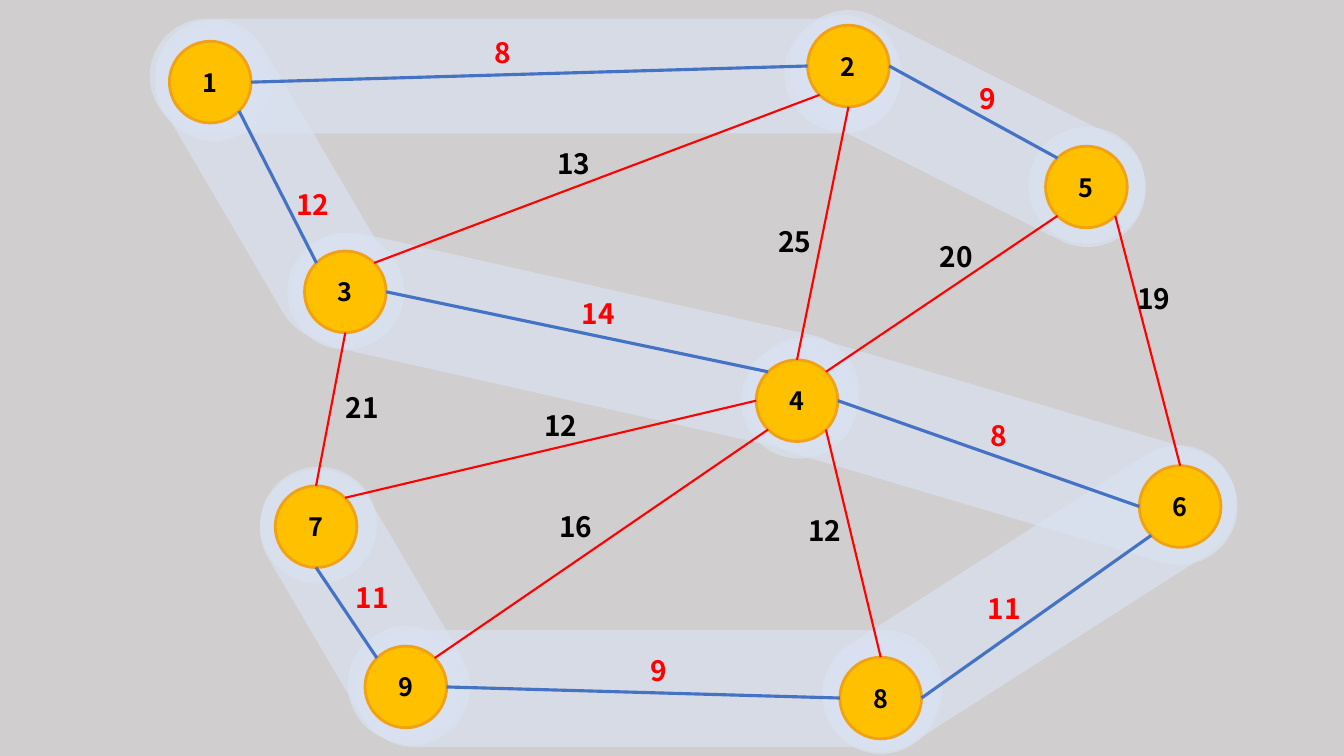
from math import cos, radians, sin

from lxml import etree
from pptx import Presentation
from pptx.dml.color import RGBColor
from pptx.enum.shapes import MSO_CONNECTOR, MSO_SHAPE
from pptx.enum.text import MSO_ANCHOR, MSO_AUTO_SIZE, PP_ALIGN
from pptx.oxml.ns import qn
from pptx.util import Inches, Pt

OVAL = MSO_SHAPE.OVAL
PILL = MSO_SHAPE.ROUNDED_RECTANGLE
LINE = MSO_CONNECTOR.STRAIGHT
CENTER = PP_ALIGN.CENTER
MIDDLE = MSO_ANCHOR.MIDDLE
GROW = MSO_AUTO_SIZE.SHAPE_TO_FIT_TEXT

FONT = "Noto Sans CJK KR"
HEX = {
    "back": "D0CECE", "halo": "DAE3F3", "node": "FFC000", "rim": "F1A116",
    "tree": "4472C4", "other": "FF0000", "pick": "FF0000", "ink": "000000",
}

# All lengths count grid cells of a tenth of an inch
COLS, ROWS = 133.3, 75
CELL = Inches(0.1)
NODE, HALO = 8.1, 11.6
ALPHA = "63000"

# Node centres: column, row
NODES = {
    1: (20.85, 8.15), 2: (84.15, 6.55), 3: (34.25, 28.95),
    4: (79.05, 39.75), 5: (107.75, 18.55), 6: (117.05, 50.25),
    7: (31.35, 52.25), 8: (87.35, 69.25), 9: (40.25, 68.15),
}

# Bands along the tree: centre column, row, length, turn, width
BANDS = [
    (96, 12.75, 38.1, 296.7, HALO),
    (52.1, 7.55, 74.5, 270, 11.4),
    (27.1, 17.9, 35.2, 329.6, HALO),
    (57.1, 33.9, 57.4, 282.7, HALO),
    (36.2, 60.25, 29.9, 329.6, HALO),
    (64.4, 68.3, 58.2, 270, HALO),
    (102.1, 59.4, 46.6, 237.4, HALO),
    (98.4, 44.75, 50.3, 286.5, HALO),
]

# Halo centres: column, row
HALOS = [
    (107.8, 18.4), (83.6, 7.3), (21.2, 8.2), (34.3, 28.9),
    (31.6, 52.1), (40.3, 67.9), (87.4, 69), (79.3, 39.7),
]

# Edges: node, side, node, side, weight, label column, label row
TREE = [
    (1, "E", 2, "W", 8, 48.1, 3),
    (1, "SE", 3, "NW", 12, 28.4, 18.1),
    (2, "E", 5, "NW", 9, 96.2, 7.6),
    (3, "E", 4, "NW", 14, 56.7, 28.9),
    (4, "E", 6, "W", 8, 97.3, 41),
    (8, "E", 6, "SW", 11, 97, 58.2),
    (7, "S", 9, "NW", 11, 34.3, 57.1),
    (9, "E", 8, "W", 9, 63.5, 64.3),
]
OTHER = [
    (3, "NE", 2, "SW", 13, 54.3, 14),
    (2, "S", 4, "N", 25, 76.2, 21.8),
    (5, "SW", 4, "NE", 20, 92.2, 23.3),
    (5, "SE", 6, "N", 19, 111.8, 27.4),
    (7, "N", 3, "S", 21, 33.3, 38.2),
    (7, "NE", 4, "W", 12, 53, 40),
    (4, "SW", 9, "NE", 16, 54.5, 50.1),
    (8, "N", 4, "SE", 12, 79.2, 50.5),
]
SIDES = ["E", "SE", "S", "SW", "W", "NW", "N", "NE"]


def rgb(name):
    return RGBColor.from_string(HEX[name])


def grid(*cells):
    return [round(cell * CELL) for cell in cells]


def add_run(para, text, size, color):
    run = para.add_run()
    run.text = str(text)
    run.font.name = FONT
    run.font.size = Pt(size)
    run.font.bold = True
    run.font.color.rgb = rgb(color)


def add_form(slide, kind, col, row, wide, high, color):
    """Place a filled shape by its centre."""
    box = grid(col - wide / 2, row - high / 2, wide, high)
    form = slide.shapes.add_shape(kind, *box)
    form.shadow.inherit = False
    form.fill.solid()
    form.fill.fore_color.rgb = rgb(color)
    return form


def add_glow(slide, kind, col, row, wide, high, turn=0):
    glow = add_form(slide, kind, col, row, wide, high, "halo")
    glow.line.fill.background()
    glow.rotation = turn
    if kind == PILL:
        glow.adjustments[0] = 0.5
    tint = glow.fill._xPr.find(".//" + qn("a:srgbClr"))
    etree.SubElement(tint, qn("a:alpha"), val=ALPHA)


def add_node(slide, name, col, row):
    node = add_form(slide, OVAL, col, row, NODE, NODE, "node")
    node.line.color.rgb = rgb("rim")
    node.line.width = Pt(2)
    frame = node.text_frame
    frame.vertical_anchor = MIDDLE
    para = frame.paragraphs[0]
    para.alignment = CENTER
    add_run(para, name, 18, "ink")


def rim_point(name, side):
    """Find the point on a node's rim that faces the given side."""
    col, row = NODES[name]
    angle = radians(45 * SIDES.index(side))
    return grid(col + NODE / 2 * cos(angle), row + NODE / 2 * sin(angle))


def add_edge(slide, start, side, end, face, color, width):
    edge = slide.shapes.add_connector(
        LINE, *rim_point(start, side), *rim_point(end, face))
    edge.line.color.rgb = rgb(color)
    edge.line.width = Pt(width)
    etree.SubElement(edge._element.spPr, qn("a:effectLst"))


def add_label(slide, weight, col, row, color):
    wide = 3.6 if weight < 10 else 5.3
    label = slide.shapes.add_textbox(*grid(col, row, wide, 4.4))
    frame = label.text_frame
    frame.word_wrap = False
    frame.auto_size = GROW
    add_run(frame.paragraphs[0], weight, 20, color)


def main():
    deck = Presentation()
    deck.slide_width, deck.slide_height = grid(COLS, ROWS)
    slide = deck.slides.add_slide(deck.slide_layouts[6])
    slide.background.fill.solid()
    slide.background.fill.fore_color.rgb = rgb("back")

    # Pale path behind the tree
    for col, row, length, turn, wide in BANDS:
        add_glow(slide, PILL, col, row, wide, length, turn)
    for col, row in HALOS:
        add_glow(slide, OVAL, col, row, HALO, HALO)

    # Nodes
    for name, (col, row) in NODES.items():
        add_node(slide, name, col, row)

    # Edges, then their weights on top
    groups = [(TREE, "tree", 2.25, "pick"), (OTHER, "other", 1.5, "ink")]
    for edges, color, width, ink in groups:
        for start, side, end, face, weight, col, row in edges:
            add_edge(slide, start, side, end, face, color, width)
            add_label(slide, weight, col, row, ink)

    deck.save("out.pptx")


if __name__ == "__main__":
    main()
